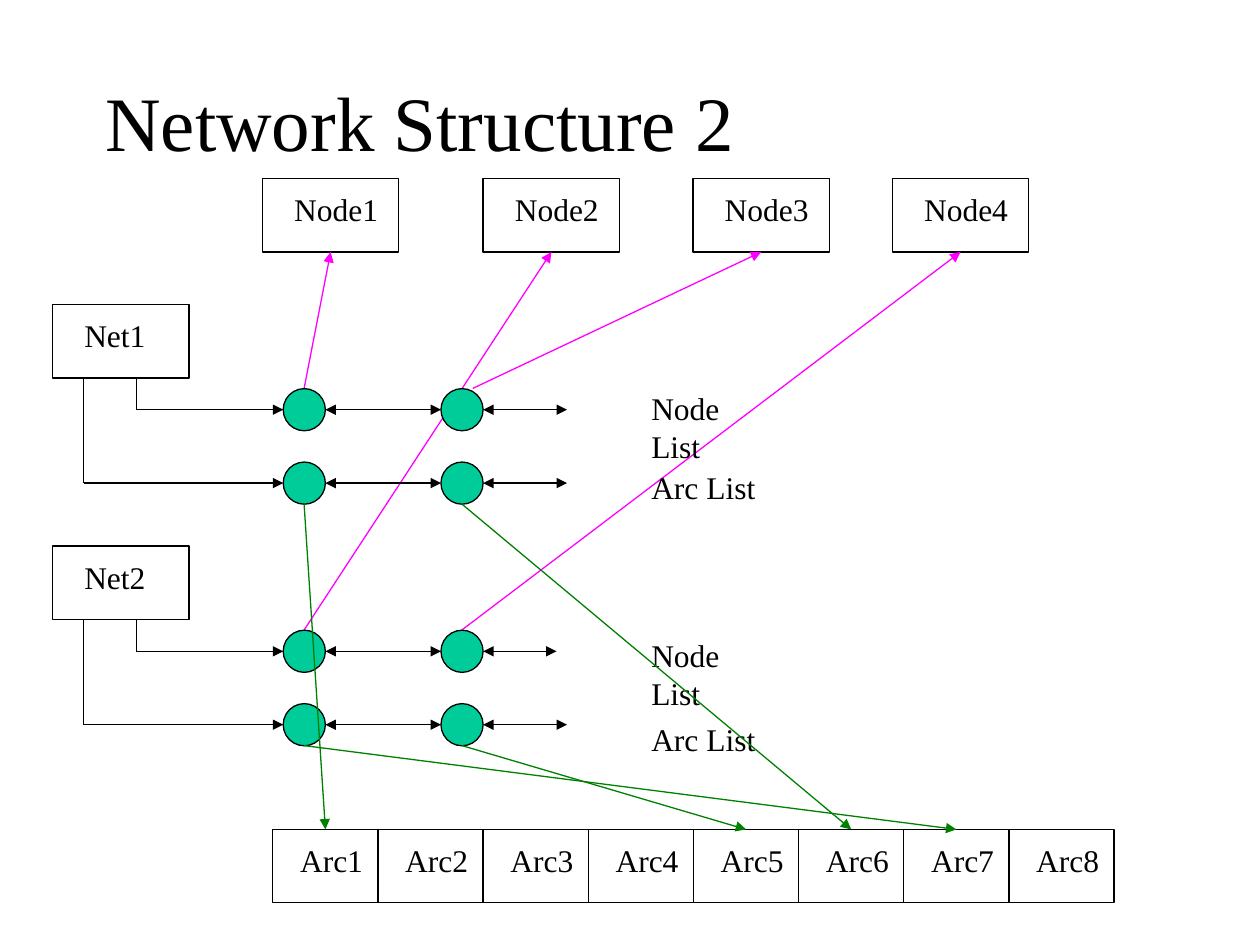
from lxml.etree import SubElement
from pptx import Presentation
from pptx.dml.color import RGBColor
from pptx.enum.shapes import MSO_CONNECTOR as Connector, MSO_SHAPE as Shape
from pptx.enum.text import MSO_ANCHOR as Anchor, MSO_AUTO_SIZE as AutoSize, PP_ALIGN as Align
from pptx.oxml.ns import qn
from pptx.util import Cm, Pt

BLACK, MAGENTA, GREEN, TEAL = "000000", "FF00FF", "008000", "00CC99"
FONT = "Times New Roman"
color = RGBColor.from_string

presentation = Presentation()
presentation.slide_width, presentation.slide_height = Cm(25.4), Cm(19.05)
slide = presentation.slides.add_slide(presentation.slide_layouts[5])


def add_box(text, left, top, width, indent):
    box = slide.shapes.add_shape(Shape.RECTANGLE, Cm(left), Cm(top), Cm(width), Cm(1.48))
    box.shadow.inherit = False
    box.fill.background()
    box.line.color.rgb = color(BLACK)
    box.line.width = Pt(0.75)
    frame = box.text_frame
    frame.text = text
    frame.word_wrap = True
    frame.vertical_anchor = Anchor.TOP
    frame.margin_left, frame.margin_right = Cm(indent), 0
    frame.margin_top = Cm(0.23)
    return box


def add_line(start, end, line_color=BLACK, arrows=("tailEnd",)):
    line = slide.shapes.add_connector(Connector.STRAIGHT, *map(Cm, start + end))
    line.line.color.rgb = color(line_color)
    line.line.width = Pt(0.75)
    outline = line.line._get_or_add_ln()
    for arrow in arrows:
        SubElement(outline, qn(f"a:{arrow}"), type="triangle")
    SubElement(line._element.spPr, qn("a:effectLst"))
    return line


title = slide.shapes.title
title.left, title.top, title.width, title.height = Cm(1.48), Cm(1.48), Cm(13.97), Cm(1.9)
title.text_frame.text = "Network Structure 2"
title.text_frame.auto_size = AutoSize.NONE
title.text_frame.vertical_anchor = Anchor.MIDDLE

node_lefts = [5.29, 9.74, 13.97, 17.99]
nodes = [add_box(f"Node{number}", left, 3.6, 2.75, 0.64)
         for number, left in enumerate(node_lefts, 1)]

node_links = [(6.13, 7.83, 1), (9.53, 7.83, 3), (6.13, 12.7, 2), (9.31, 12.7, 4)]
for x, y, number in node_links:
    link = add_line((x, y), (x, y), MAGENTA)
    link.end_connect(nodes[number - 1], 2)

arc_width = 2.12
arcs = [add_box(f"Arc{index + 1}", 5.5 + index * arc_width, 16.72, arc_width, 0.55)
        for index in range(8)]

diameter = 0.85
first_left, second_left = 5.71, 8.89
both_ends = ("headEnd", "tailEnd")
nets = [
    ("Net1", 6.14, [("Node List", 2.75, 0.64, 11.43, 7.72), ("Arc List", 1.69, 2.12, 11.43, 9.32)]),
    ("Net2", 11.01, [("Node List", 2.75, 0.64, 11.22, 12.7), ("Arc List", 1.69, 2.12, 11.43, 14.4)]),
]
for net_name, net_top, lists in nets:
    add_box(net_name, 1.06, net_top, 2.75, 0.64)
    net_bottom = net_top + 1.48
    for list_name, wire_x, drop, chain_end, label_top in lists:
        y = net_bottom + drop
        add_line((wire_x, net_bottom), (wire_x, y), arrows=())
        add_line((wire_x, y), (first_left, y))
        for left in (first_left, second_left):
            circle = slide.shapes.add_shape(
                Shape.OVAL, Cm(left), Cm(y - diameter / 2), Cm(diameter), Cm(diameter))
            circle.shadow.inherit = False
            circle.fill.solid()
            circle.fill.fore_color.rgb = color(TEAL)
            circle.line.color.rgb = color(BLACK)
            circle.line.width = Pt(0.75)
        add_line((first_left + diameter, y), (second_left, y), arrows=both_ends)
        add_line((second_left + diameter, y), (chain_end, y), arrows=both_ends)
        label = slide.shapes.add_textbox(Cm(12.88), Cm(label_top), Cm(3.02), Cm(1.02))
        label.text_frame.text = list_name
        label.text_frame.word_wrap = False

arc_links = [(6.13, 10.16, 1), (9.31, 10.16, 6), (6.13, 15.03, 7), (9.31, 15.03, 5)]
for x, y, number in arc_links:
    link = add_line((x, y), (x, y), GREEN)
    link.end_connect(arcs[number - 1], 0)

for shape in slide.shapes:
    if not shape.has_text_frame:
        continue
    is_title = shape.shape_id == title.shape_id
    for paragraph in shape.text_frame.paragraphs:
        paragraph.alignment = Align.CENTER if is_title else Align.LEFT
        for run in paragraph.runs:
            run.font.name = FONT
            run.font.size = Pt(44 if is_title else 18)
            run.font.color.rgb = color(BLACK)

presentation.save("out.pptx")
